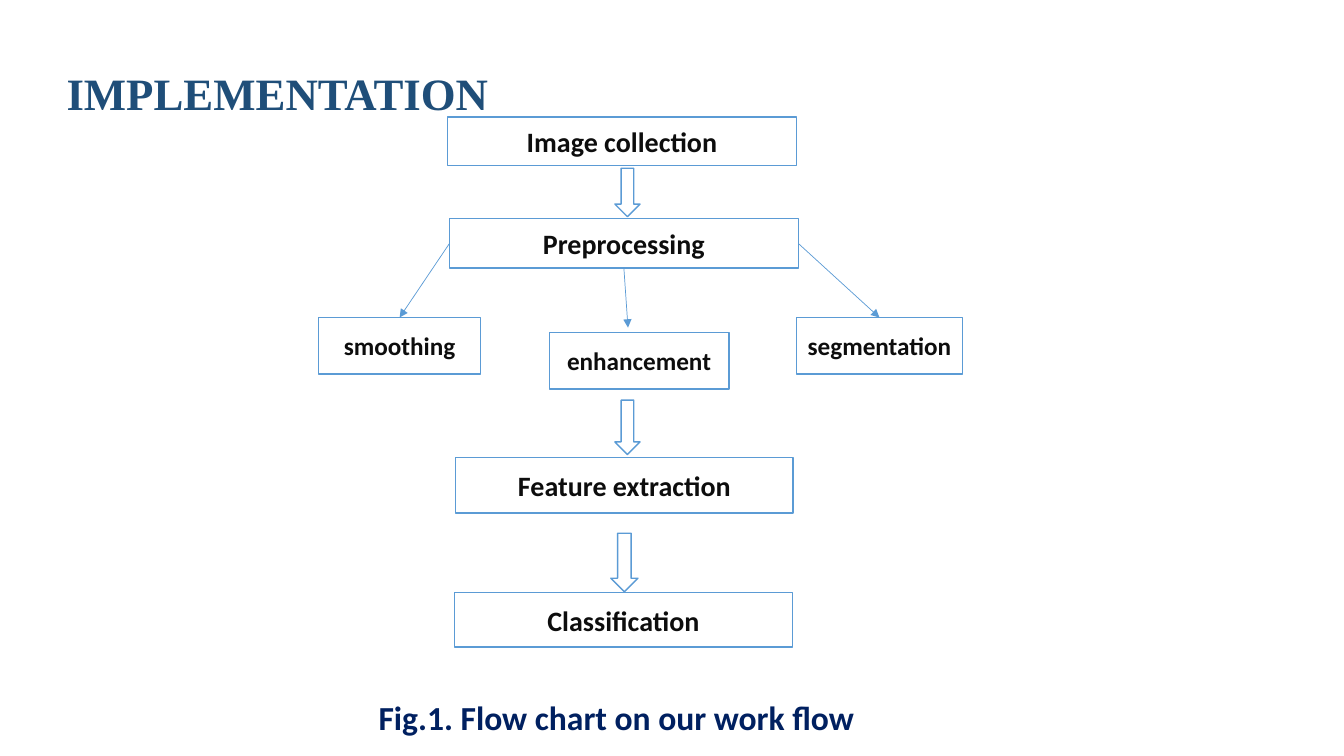
from dataclasses import dataclass

from pptx import Presentation
from pptx.dml.color import RGBColor
from pptx.enum.shapes import MSO_CONNECTOR as CONN, MSO_SHAPE as SHAPE
from pptx.enum.text import MSO_ANCHOR as ANCHOR, PP_ALIGN as ALIGN
from pptx.oxml.ns import qn
from pptx.util import Pt
from lxml.etree import SubElement


@dataclass(frozen=True)
class Theme:
    white: str = "FFFFFF"
    outline: str = "5B9BD5"
    ink: str = "0D0D0D"
    navy: str = "002060"
    heading: str = "1F4E79"
    body_font: str = "Calibri"
    title_font: str = "Times New Roman"
    title_size: float = 32
    caption_size: float = 24
    stage_size: float = 20
    step_size: float = 18
    box_line: float = 1
    link_line: float = 0.5


THEME = Theme()
TOP, LEFT, BOTTOM, RIGHT = range(4)


def rgb(value):
    return RGBColor.from_string(value)


def put_text(sp, text, *, size, color=THEME.ink, font=THEME.body_font,
             align=ALIGN.CENTER, anchor=ANCHOR.MIDDLE, spacing=1.0, inset=7.2):
    tf = sp.text_frame
    tf.word_wrap = True
    tf.vertical_anchor = anchor
    tf.margin_left = tf.margin_right = Pt(inset)
    tf.margin_top = tf.margin_bottom = Pt(3.6)
    p = tf.paragraphs[0]
    p.alignment = align
    p.line_spacing = spacing
    r = p.add_run()
    r.text = text
    r.font.name = font
    r.font.size = Pt(size)
    r.font.bold = True
    r.font.color.rgb = rgb(color)


def add_outlined(slide, kind, left, top, width, height):
    sp = slide.shapes.add_shape(kind, Pt(left), Pt(top), Pt(width), Pt(height))
    sp.shadow.inherit = False
    sp.fill.solid()
    sp.fill.fore_color.rgb = rgb(THEME.white)
    sp.line.color.rgb = rgb(THEME.outline)
    sp.line.width = Pt(THEME.box_line)
    return sp


def add_link(slide, source, side, target=None, end=(0, 0)):
    link = slide.shapes.add_connector(CONN.STRAIGHT, 0, 0, Pt(end[0]), Pt(end[1]))
    link.begin_connect(source, side)
    if target is not None:
        link.end_connect(target, TOP)
    link.line.color.rgb = rgb(THEME.outline)
    link.line.width = Pt(THEME.link_line)
    SubElement(link.line._get_or_add_ln(), qn("a:tailEnd"), type="triangle")
    SubElement(link._element.spPr, qn("a:effectLst"))


def add_title(slide, left, top, width, height):
    sp = slide.shapes.title
    sp.left, sp.top, sp.width, sp.height = map(Pt, (left, top, width, height))
    put_text(sp, "IMPLEMENTATION", size=THEME.title_size, color=THEME.heading,
             font=THEME.title_font, align=ALIGN.LEFT, anchor=ANCHOR.TOP, spacing=1.5)


def add_flow_chart(slide, left, top):
    stages = [
        ("Image collection", 92.2, 0, 249.1, 34.6, THEME.stage_size),
        ("Preprocessing", 93.6, 72.7, 249.1, 35.3, THEME.stage_size),
        ("smoothing", 0, 143.3, 115.9, 40.3, THEME.step_size),
        ("enhancement", 164.9, 154.1, 128.2, 40.3, THEME.step_size),
        ("segmentation", 341.3, 143.3, 118.8, 40.3, THEME.step_size),
        ("Feature extraction", 97.9, 243.4, 241.2, 39.6, THEME.stage_size),
        ("Classification", 97.2, 339.9, 241.2, 38.9, THEME.stage_size),
    ]
    boxes = {}
    for name, x, y, width, height, size in stages:
        boxes[name] = add_outlined(slide, SHAPE.RECTANGLE, left + x, top + y, width, height)
        put_text(boxes[name], name, size=size, inset=3.6)

    for x, y, width, height in [(211.7, 36.7, 18, 34.6),
                                (211.7, 202.3, 18, 38.9),
                                (208.8, 297.4, 19.4, 41.8)]:
        add_outlined(slide, SHAPE.DOWN_ARROW, left + x, top + y, width, height)

    hub = boxes["Preprocessing"]
    add_link(slide, hub, LEFT, boxes["smoothing"])
    add_link(slide, hub, RIGHT, boxes["segmentation"])
    add_link(slide, hub, BOTTOM, end=(left + 221.1, top + 150.5))


def add_caption(slide, left, top, width, height):
    sp = slide.shapes.add_textbox(Pt(left), Pt(top), Pt(width), Pt(height))
    put_text(sp, "Fig.1. Flow chart on our work flow", size=THEME.caption_size,
             color=THEME.navy, anchor=ANCHOR.TOP)


def main():
    prs = Presentation()
    prs.slide_width, prs.slide_height = Pt(960), Pt(540)
    slide = prs.slides.add_slide(prs.slide_layouts[5])
    add_flow_chart(slide, 227.5, 83.5)
    add_caption(slide, 204.5, 493.9, 471.6, 36)
    add_title(slide, 40.3, 23.8, 885.6, 58.3)
    prs.save("out.pptx")


if __name__ == "__main__":
    main()
